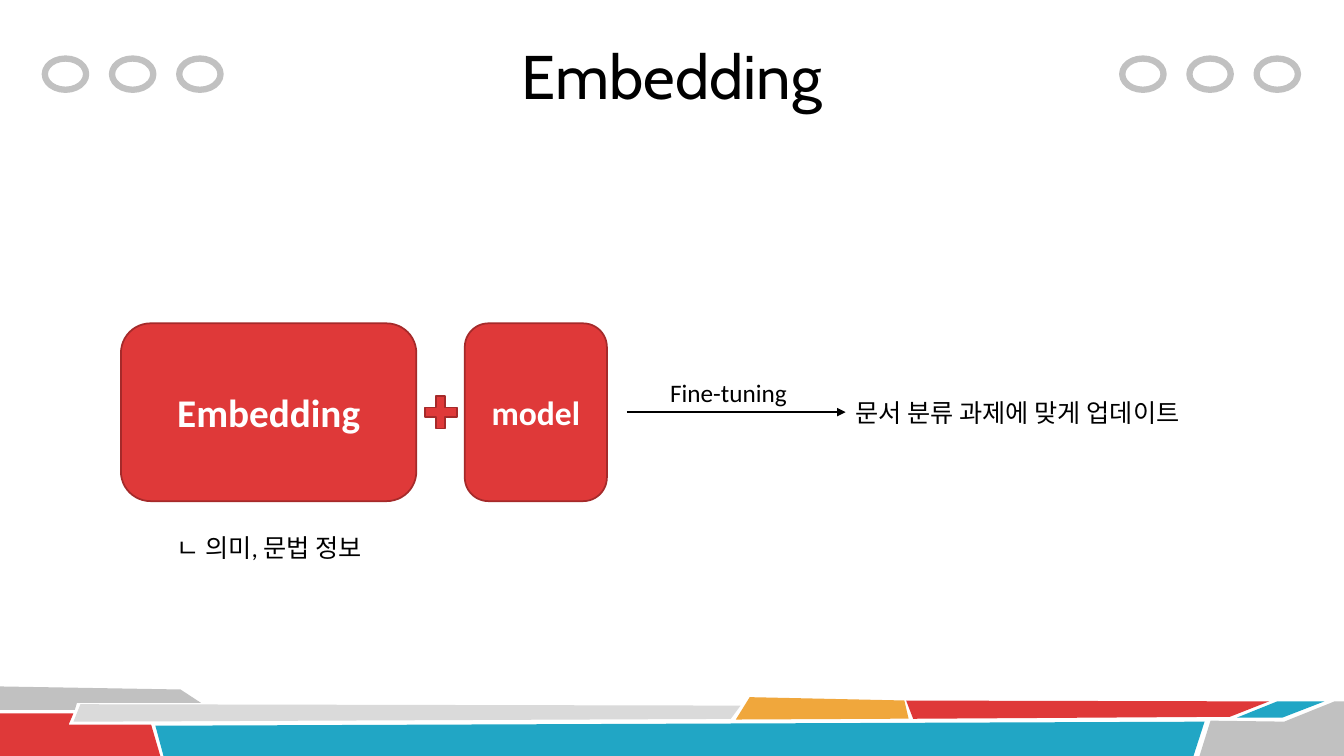
from dataclasses import dataclass

from lxml.etree import SubElement
from pptx import Presentation
from pptx.dml.color import RGBColor as Rgb
from pptx.enum.shapes import MSO_CONNECTOR as Link, MSO_SHAPE as Kind
from pptx.enum.text import MSO_ANCHOR as Anchor, MSO_AUTO_SIZE as Fit, PP_ALIGN as Align
from pptx.oxml.ns import qn
from pptx.util import Pt


@dataclass(frozen=True)
class Theme:
    red: str = "DF3939"
    edge: str = "A52A2A"
    blue: str = "21A6C5"
    gold: str = "F0A73C"
    gray: str = "C1C1C1"
    pale: str = "DADADA"
    black: str = "000000"
    white: str = "FFFFFF"
    head: str = "Cabin"
    body: str = "Calibri"
    title: int = 44
    large: int = 28
    mid: int = 24
    small: int = 18


def apply(item, form):
    for name, value in form.items():
        setattr(item, name, value)


class Deck:
    def __init__(self, theme, slide):
        self.theme = theme
        self.slide = slide
        self.shapes = slide.shapes

    def paint(self, shape, fill=None, line=None, width=1.25):
        shape.shadow.inherit = False
        if fill:
            shape.fill.solid()
            shape.fill.fore_color.rgb = Rgb.from_string(fill)
        else:
            shape.fill.background()
        if line:
            shape.line.color.rgb = Rgb.from_string(line)
            shape.line.width = Pt(width)
        else:
            shape.line.fill.background()

    def label(self, shape, text, size, color, font=None, bold=False,
              align=Align.CENTER, **frame):
        apply(shape.text_frame, frame)
        para = shape.text_frame.paragraphs[0]
        para.alignment = align
        run = para.add_run()
        run.text = text
        apply(run.font, {"name": font or self.theme.body, "size": Pt(size), "bold": bold})
        run.font.color.rgb = Rgb.from_string(color)

    def title(self, text, *rect):
        shape = self.shapes.title
        apply(shape, dict(zip(("left", "top", "width", "height"), map(Pt, rect))))
        self.label(shape, text, self.theme.title, self.theme.black, self.theme.head,
                   vertical_anchor=Anchor.MIDDLE, word_wrap=True)

    def band(self, fill, *points):
        first, *rest = [(Pt(x), Pt(y)) for x, y in points]
        form = self.shapes.build_freeform(*first, scale=1.0)
        form.add_line_segments(rest, close=True)
        self.paint(form.convert_to_shape(), fill)

    def shape(self, kind, rect, **style):
        shape = self.shapes.add_shape(kind, *map(Pt, rect))
        self.paint(shape, **style)
        return shape

    def card(self, text, size, *rect):
        look = self.theme
        shape = self.shape(Kind.ROUNDED_RECTANGLE, rect, fill=look.red, line=look.edge)
        self.label(shape, text, size, look.white, bold=True,
                   vertical_anchor=Anchor.MIDDLE, word_wrap=True)

    def note(self, text, *rect):
        shape = self.shapes.add_textbox(*map(Pt, rect))
        self.label(shape, text, self.theme.small, self.theme.black, align=Align.LEFT,
                   word_wrap=False, auto_size=Fit.SHAPE_TO_FIT_TEXT)

    def arrow(self, left, right, y):
        link = self.shapes.add_connector(Link.STRAIGHT, Pt(left), Pt(y), Pt(right), Pt(y))
        link.line.color.rgb = Rgb.from_string(self.theme.black)
        link.line.width = Pt(1.5)
        props = link._element.spPr
        SubElement(props.find(qn("a:ln")), qn("a:tailEnd"), type="triangle")
        SubElement(props, qn("a:effectLst"))


def main():
    show = Presentation()
    apply(show, {"slide_width": Pt(960), "slide_height": Pt(540)})
    look = Theme()
    deck = Deck(look, show.slides.add_slide(show.slide_layouts[5]))

    bands = [
        (look.gray, (0, 490.3), (129, 492.5), (143.5, 502), (55, 502), (53.5, 507), (0, 507)),
        (look.red, (0, 509.5), (52.5, 509.5), (49, 517.7), (108, 517.7), (114.5, 540), (0, 540)),
        (look.pale, (57.5, 503), (529, 504), (522, 513.5), (52.5, 515.5)),
        (look.blue, (111, 518.4), (860.4, 515.5), (852.5, 540), (116.8, 540)),
        (look.gold, (535.5, 498), (646, 500.4), (649, 513.4), (525.6, 514)),
        (look.red, (647.3, 500.4), (906.5, 501), (878.5, 512), (652.3, 513.4)),
        (look.blue, (912.3, 501), (946, 501), (916, 512.6), (883.5, 512.6)),
        (look.gray, (864.7, 514.8), (917.3, 515.5), (953.3, 501), (960, 501), (960, 540), (856.8, 540)),
    ]
    for fill, *points in bands:
        deck.band(fill, *points)

    for start in (32, 801.6):
        for step in range(3):
            deck.shape(Kind.OVAL, (start + 48 * step, 41.8, 29.5, 22.3),
                       line=look.gray, width=4.5)

    deck.title("Embedding", 168, 8.6, 624, 90)
    deck.card("Embedding", look.large, 86.4, 231, 211, 127)
    deck.card("model", look.mid, 332, 231, 101.5, 127)
    plus = deck.shape(Kind.CROSS, (303.6, 283, 22.6, 23), fill=look.red, line=look.edge)
    plus.adjustments[0] = 0.36
    deck.arrow(447.8, 604, 294.4)
    deck.note("ㄴ 의미, 문법 정보", 119, 376.6, 165, 29)
    deck.note("문서 분류 과제에 맞게 업데이트", 604, 280, 276.5, 29)
    deck.note("Fine-tuning", 471.6, 265.7, 108.7, 29)
    show.save("out.pptx")


if __name__ == "__main__":
    main()
